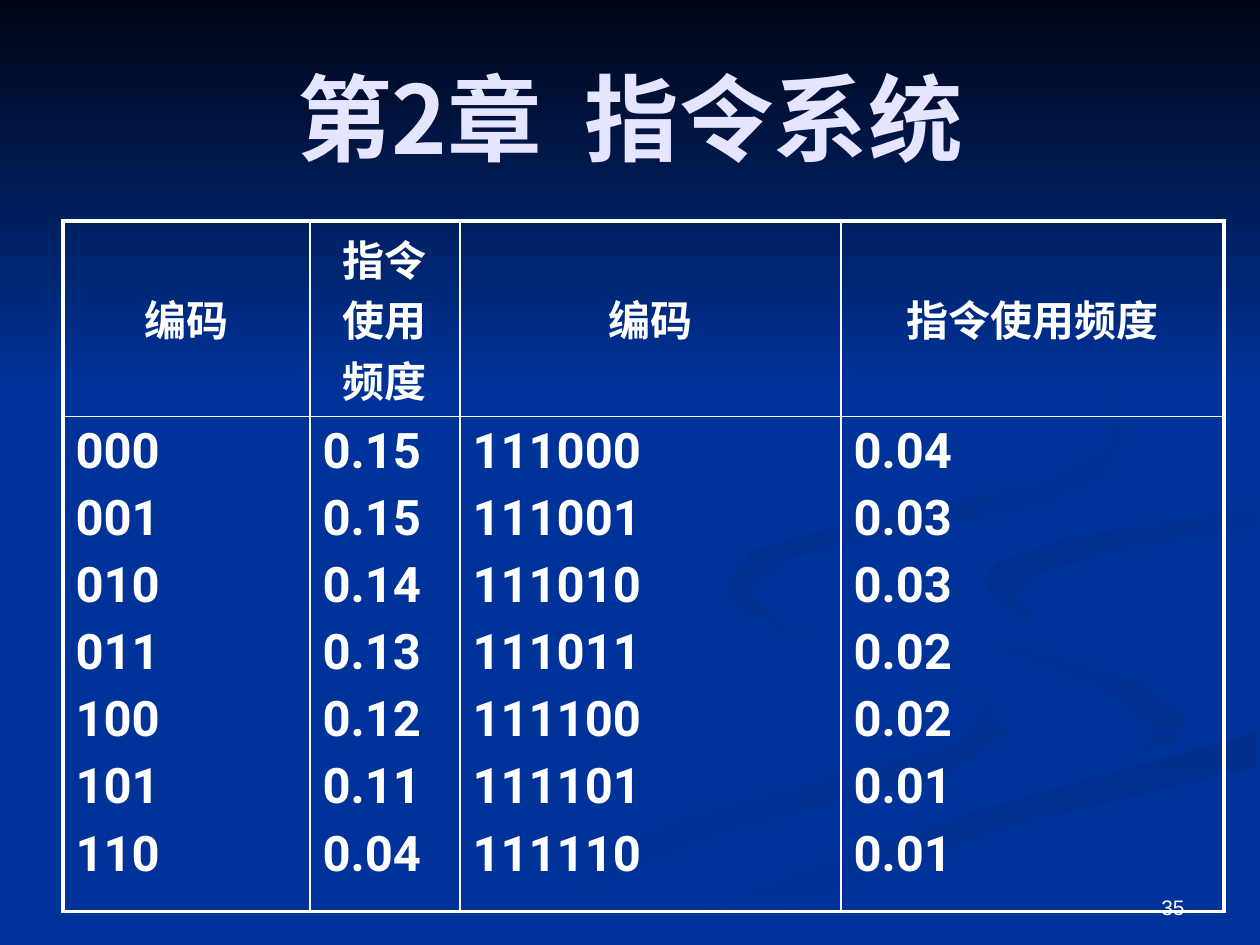
import pptx
import pptx.util
import pptx.dml.color
import pptx.enum.text
import pptx.oxml
import pptx.oxml.ns

SCALE = 914400 / 126  # EMU per px
LATIN, CJK = "Roboto", "Noto Sans CJK SC"
COLORS = {"blue": "003399", "shade": "002F8E", "dim": "003193", "night": "000514",
          "title": "E5E5FF", "white": "FFFFFF"}
ALIGN = pptx.enum.text.PP_ALIGN
ANCHOR = pptx.enum.text.MSO_ANCHOR


def px(n):
    return pptx.util.Emu(round(n * SCALE))


def add_run(p, text, size, font, color, bold=True):
    r = p.add_run()
    r.text = text
    r.font.size = pptx.util.Pt(size)
    r.font.bold = bold
    r.font.name = font
    r.font.color.rgb = pptx.dml.color.RGBColor.from_string(COLORS[color])
    ea = pptx.oxml.parse_xml(f'<a:ea {pptx.oxml.ns.nsdecls("a")} typeface="{CJK}"/>')
    r.font._element.find(pptx.oxml.ns.qn("a:latin")).addnext(ea)


prs = pptx.Presentation()
prs.slide_width, prs.slide_height = px(1260), px(945)
s = prs.slides.add_slide(prs.slide_layouts[5])
s.background.fill.solid()
s.background.fill.fore_color.rgb = pptx.dml.color.RGBColor.from_string(COLORS["blue"])

# Background ribbons and top shade: start colour, end colour, clockwise angle, outline
ribbons = [
    ("blue", "dim", 0, [
        (984, 697), (859, 654), (748, 611), (725, 578), (732, 610), (900, 668), (987, 704),
        (956, 743), (679, 818), (378, 944), (455, 944), (711, 838), (953, 774), (1008, 732)]),
    ("blue", "dim", 45, [
        (1188, 718), (1140, 680), (955, 627), (912, 585), (940, 630), (1094, 685),
        (1157, 732), (1126, 762), (1174, 742)]),
    ("shade", "blue", 90, [
        (634, 944), (719, 944), (876, 872), (1034, 820), (1257, 767), (1257, 732),
        (963, 815), (794, 873)]),
    ("shade", "blue", 45, [
        (984, 580), (997, 602), (1041, 625), (1014, 595), (1043, 571), (1129, 548),
        (1257, 529), (1257, 507), (1070, 538), (997, 563)]),
    ("shade", "blue", 45, [
        (861, 542), (1040, 507), (1104, 476), (1126, 433), (1089, 367), (1115, 403),
        (1111, 446), (1046, 481), (852, 522), (752, 551), (727, 582), (743, 610), (784, 630),
        (747, 592), (786, 559)]),
    ("night", "blue", 90, [(0, 0), (0, 388), (1260, 388), (1260, 0)]),
]
for start, end, angle, points in ribbons:
    builder = s.shapes.build_freeform(*points[0], scale=SCALE)
    builder.add_line_segments(points[1:], close=True)
    sp = builder.convert_to_shape()
    sp.shadow.inherit = False
    sp.line.fill.background()
    sp.fill.gradient()
    sp.fill.gradient_angle = -angle % 360
    for stop, color in zip(sp.fill.gradient_stops, (start, end)):
        stop.color.rgb = pptx.dml.color.RGBColor.from_string(COLORS[color])

# Page number
sp = s.shapes.add_textbox(px(903), px(861), px(294), px(65))
tf = sp.text_frame
tf.word_wrap = True
tf.vertical_anchor = ANCHOR.BOTTOM
p = tf.paragraphs[0]
p.alignment = ALIGN.RIGHT
add_run(p, "35", 12, "Arial", "white", bold=False)

# Title, brought in front of the ribbons
title = s.shapes.title
title.left, title.top, title.width, title.height = px(63), px(38), px(1134), px(158)
title.element.getparent().append(title.element)
tf = title.text_frame
tf.vertical_anchor = ANCHOR.MIDDLE
p = tf.paragraphs[0]
p.alignment = ALIGN.CENTER
add_run(p, "第2章  指令系统", 54, CJK, "title")

# Table of codes and frequencies: width, heading and values of each column
columns = [
    (247, "编码", "000 001 010 011 100 101 110"),
    (150, "指令使用频度", "0.15 0.15 0.14 0.13 0.12 0.11 0.04"),
    (381, "编码", "111000 111001 111010 111011 111100 111101 111110"),
    (383, "指令使用频度", "0.04 0.03 0.03 0.02 0.02 0.01 0.01"),
]
row_heights = [164, 495]
table = s.shapes.add_table(2, 4, px(63), px(221), px(1161), px(sum(row_heights))).table
table.first_row = table.horz_banding = False
for row, height in zip(table.rows, row_heights):
    row.height = px(height)
for col, (width, heading, values) in enumerate(columns):
    table.columns[col].width = px(width)
    for row, lines in enumerate([[heading], values.split()]):
        cell = table.cell(row, col)
        # Thick outer frame, thin inner rules
        outer = {"L": col == 0, "R": col == 3, "T": row == 0, "B": row == 1}
        for side, thick in outer.items():
            cell._tc.get_or_add_tcPr().append(pptx.oxml.parse_xml(
                f'<a:ln{side} {pptx.oxml.ns.nsdecls("a")} w="{28575 if thick else 12700}">'
                f'<a:solidFill><a:srgbClr val="{COLORS["white"]}"/></a:solidFill></a:ln{side}>'))
        cell.fill.background()
        cell.vertical_anchor = ANCHOR.TOP if row else ANCHOR.MIDDLE
        size = 28 if row else 24
        tf = cell.text_frame
        for i, line in enumerate(lines):
            p = tf.add_paragraph() if i else tf.paragraphs[0]
            p.alignment = ALIGN.LEFT if row else ALIGN.CENTER
            p.space_before = pptx.util.Pt(size * 0.2)
            add_run(p, line, size, LATIN, "white")

prs.save("out.pptx")
